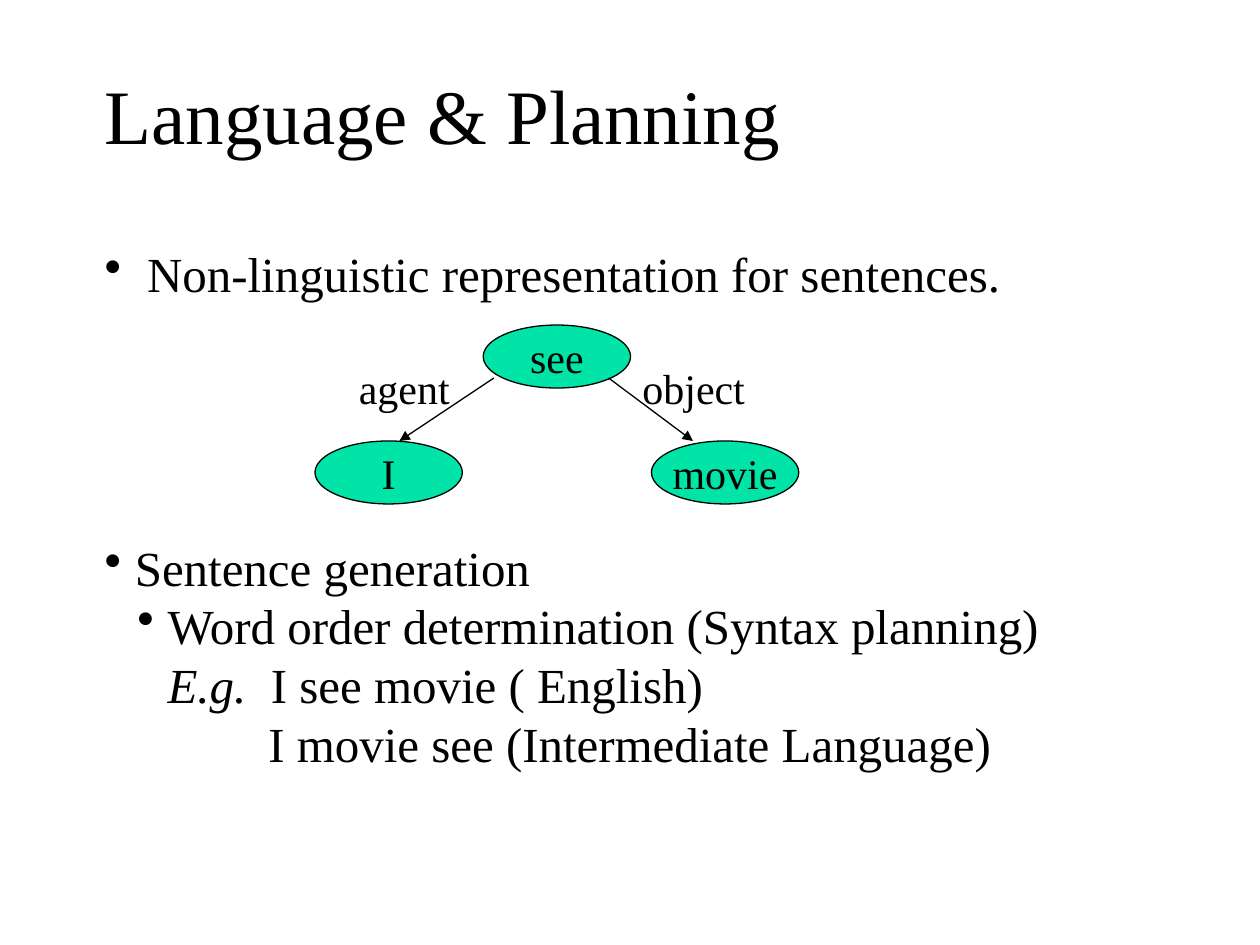
from lxml import etree
from pptx import Presentation
from pptx import util as u
from pptx.dml.color import RGBColor
from pptx.enum import shapes, text
from pptx.oxml.ns import qn

FONT = "Times New Roman"
BLACK, WHITE, GREEN = "000000", "FFFFFF", "00E4A8"
LINE_RATIO = 1.2
BULLET_GAP = 0.24


def color(value):
    return RGBColor.from_string(value)


def add_box(page, left, top, width, height):
    """Add a wrapping text box without margins."""
    frame = page.shapes.add_textbox(*map(u.Inches, (left, top, width, height))).text_frame
    frame.word_wrap = True
    frame.margin_left = frame.margin_right = frame.margin_top = frame.margin_bottom = 0
    return frame


def write(para, spans, size, leading=None):
    """Add (words, italic) spans to a paragraph with exact line spacing in points."""
    para.line_spacing = u.Pt(leading or size * LINE_RATIO)
    for words, italic in spans:
        span = para.add_run()
        span.text = words
        span.font.name = FONT
        span.font.size = u.Pt(size)
        span.font.italic = italic
        span.font.color.rgb = color(BLACK)


def set_indent(para, margin, bullet):
    props = para._p.get_or_add_pPr()
    props.set("marL", str(u.Inches(margin)))
    props.set("indent", str(u.Inches(-BULLET_GAP if bullet else 0)))
    if bullet:
        bullet_color = etree.SubElement(props, qn("a:buClr"))
        etree.SubElement(bullet_color, qn("a:srgbClr"), val=BLACK)
        etree.SubElement(props, qn("a:buChar"), char="•")
    else:
        etree.SubElement(props, qn("a:buNone"))


def add_title(page, left, top, width, height):
    frame = add_box(page, left, top, width, height)
    frame.vertical_anchor = text.MSO_ANCHOR.MIDDLE
    write(frame.paragraphs[0], [("Language & Planning", False)], 44, leading=32)


def add_body(page, left, top, width, height):
    size = 28
    diagram_gap = 4 * size * LINE_RATIO
    lines = [
        (BULLET_GAP, True, 0, [(" Non-linguistic representation for sentences.", False)]),
        (BULLET_GAP, True, diagram_gap, [("Sentence generation", False)]),
        (0.5, True, 0, [("Word order determination (Syntax planning)", False)]),
        (0.5, False, 0, [("E.g.  ", True), ("I see movie ( English)", False)]),
        (1.3, False, 0, [("I movie see (Intermediate Language)", False)]),
    ]
    frame = add_box(page, left, top, width, height)
    for index, (margin, bullet, before, spans) in enumerate(lines):
        para = frame.add_paragraph() if index else frame.paragraphs[0]
        set_indent(para, margin, bullet)
        if before:
            para.space_before = u.Pt(before)
        write(para, spans, size)


def add_node(page, word, left, top, width, height):
    node = page.shapes.add_shape(
        shapes.MSO_SHAPE.OVAL, *map(u.Inches, (left, top, width, height)))
    node.shadow.inherit = False
    node.fill.solid()
    node.fill.fore_color.rgb = color(GREEN)
    node.line.color.rgb = color(BLACK)
    node.line.width = u.Pt(0.75)
    frame = node.text_frame
    frame.word_wrap = False
    frame.vertical_anchor = text.MSO_ANCHOR.MIDDLE
    para = frame.paragraphs[0]
    para.alignment = text.PP_ALIGN.CENTER
    write(para, [(word, False)], 24)


def add_arrow(page, start, end):
    arrow = page.shapes.add_connector(
        shapes.MSO_CONNECTOR.STRAIGHT, *map(u.Inches, (*start, *end)))
    arrow.line.color.rgb = color(BLACK)
    arrow.line.width = u.Pt(0.75)
    etree.SubElement(arrow.line._get_or_add_ln(), qn("a:tailEnd"), type="triangle")
    etree.SubElement(arrow._element.spPr, qn("a:effectLst"))


def add_label(page, word, left, top, width, height):
    frame = add_box(page, left, top, width, height)
    frame.margin_left = frame.margin_right = u.Inches(0.1)
    frame.margin_top = frame.margin_bottom = u.Inches(0.05)
    write(frame.paragraphs[0], [(word, False)], 24)


def add_sentence_tree(page, left, top, width, height):
    """Draw a verb node over two argument nodes, joined by labelled arrows."""
    node_width, node_height = 1.17, 0.5
    size = node_width, node_height
    bottom = top + height - node_height
    right = left + width - node_width
    add_node(page, "see", (left + right) / 2, top, *size)
    add_node(page, "I", left, bottom, *size)
    add_node(page, "movie", right, bottom, *size)
    add_arrow(page, (left + 1.42, top + 0.42), (left + 0.67, bottom))
    add_arrow(page, (left + 2.33, top + 0.42), (left + 3, bottom))
    for word, offset in (("agent", 0.25), ("object", 2.5)):
        add_label(page, word, left + offset, top + 0.25, *size)


def main():
    deck = Presentation()
    deck.slide_width, deck.slide_height = u.Inches(10), u.Inches(7.5)
    page = deck.slides.add_slide(deck.slide_layouts[6])
    page.background.fill.solid()
    page.background.fill.fore_color.rgb = color(WHITE)
    add_title(page, 0.83, 0.25, 8.49, 1.6)
    add_body(page, 0.83, 1.93, 8.82, 4.67)
    add_sentence_tree(page, 2.5, 2.58, 3.84, 1.42)
    deck.save("out.pptx")


if __name__ == "__main__":
    main()
